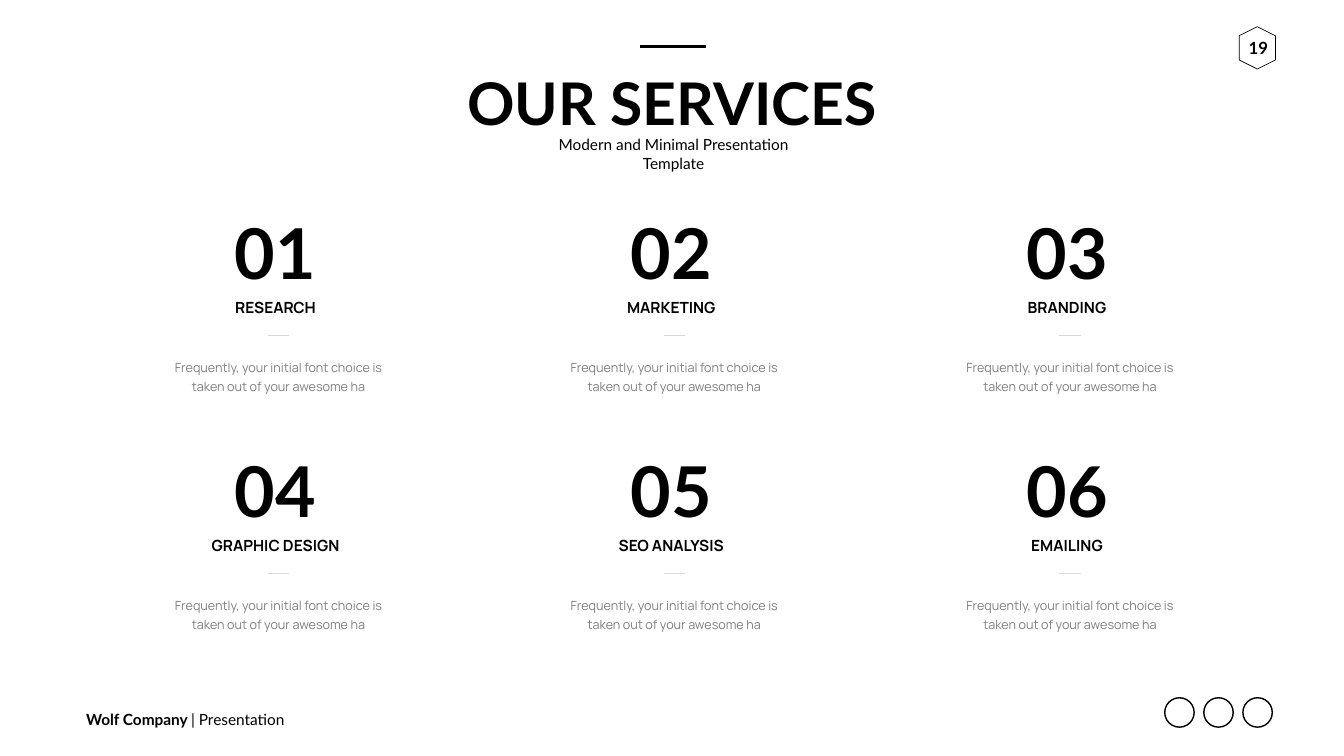
from pptx import Presentation
from pptx.dml.color import RGBColor as RGB
from pptx.enum.shapes import MSO_CONNECTOR as CONN, MSO_SHAPE as SHAPE
from pptx.enum.text import MSO_ANCHOR as ANCHOR, MSO_AUTO_SIZE as FIT, PP_ALIGN as ALIGN
from pptx.oxml.ns import qn
from pptx.util import Pt
from lxml import etree

COLORS = {"ink": "000000", "muted": "7F7F7F", "rule": "D9D9D9"}
HEADING, BODY = "Lato", "Manrope"
SERVICES = ["RESEARCH", "MARKETING", "BRANDING",
            "GRAPHIC DESIGN", "SEO ANALYSIS", "EMAILING"]
DESCRIPTION = "Frequently, your initial font choice is taken out of your awesome ha"
COLUMNS = 3
FIRST_CENTER, COLUMN_STEP = 397.8, 565.2
FIRST_TOP, ROW_STEP = 295.2, 340.5


class ServicesSlide:
    def __init__(self, prs):
        self.s = prs.slides.add_slide(prs.slide_layouts[6])

    def text(self, x, y, w, h, runs, size, font=HEADING, color="ink", align=ALIGN.CENTER,
             anchor=ANCHOR.TOP, wrap=False, inset=(7.2, 3.6), spacing=None):
        """Add one paragraph; runs is a list of (text, bold) pairs."""
        tf = self.s.shapes.add_textbox(Pt(x), Pt(y), Pt(w), Pt(h)).text_frame
        tf.word_wrap = wrap
        tf.auto_size = FIT.SHAPE_TO_FIT_TEXT
        tf.vertical_anchor = anchor
        tf.margin_left = tf.margin_right = Pt(inset[0])
        tf.margin_top = tf.margin_bottom = Pt(inset[1])
        p = tf.paragraphs[0]
        p.alignment = align
        if spacing:
            p.line_spacing = Pt(spacing)
        for content, bold in runs:
            r = p.add_run()
            r.text = content
            r.font.size, r.font.name, r.font.bold = Pt(size), font, bold
            r.font.color.rgb = RGB.from_string(COLORS[color])

    def rule(self, center, y, length, width, color):
        """Add a horizontal line centred on a given x."""
        left, right = center - length / 2, center + length / 2
        sp = self.s.shapes.add_connector(CONN.STRAIGHT, Pt(left), Pt(y), Pt(right), Pt(y))
        sp.line.color.rgb = RGB.from_string(COLORS[color])
        sp.line.width = Pt(width)
        etree.SubElement(sp._element.spPr, qn("a:effectLst"))

    def outline(self, kind, x, y, w, h, width, rotation=0):
        sp = self.s.shapes.add_shape(kind, Pt(x), Pt(y), Pt(w), Pt(h))
        sp.shadow.inherit = False
        sp.rotation = rotation
        sp.fill.background()
        sp.line.color.rgb = RGB.from_string(COLORS["ink"])
        sp.line.width = Pt(width)

    def service(self, number, name, center, top):
        title_center = center - 4.3
        self.text(title_center - 66, top, 132, 128, [(f"{number:02}", True)], 100)
        self.text(title_center - 102, top + 126.9, 204, 34.5, [(name, True)], 22, BODY,
                  spacing=26.8)
        self.rule(center, top + 183, 30.2, 0.5, "rule")
        self.text(center - 181, top + 204.5, 362, 72, [(DESCRIPTION, False)], 18, BODY,
                  "muted", wrap=True, inset=(17.3, 8.6), spacing=27.4)


def main():
    prs = Presentation()
    prs.slide_width, prs.slide_height = Pt(1919.5), Pt(1080)
    slide = ServicesSlide(prs)

    slide.text(115.9, 1010.2, 300, 33.8, [("Wolf Company ", True), ("| Presentation", False)],
               22, align=ALIGN.LEFT, anchor=ANCHOR.MIDDLE)
    slide.outline(SHAPE.HEXAGON, 1765.4, 42.5, 60.5, 51.8, 1, rotation=90)
    slide.text(1763, 46.8, 68.4, 43.9, [("19", True)], 24, inset=(14.4, 7.2))
    for i in range(3):
        slide.outline(SHAPE.OVAL, 1663.5 + 55.8 * i, 996.8, 42, 42, 2)

    slide.text(656.6, 92.2, 606.2, 108.7, [("OUR SERVICES", True)], 84)
    slide.text(747.4, 203, 429.1, 33.8, [("Modern and Minimal Presentation Template", False)],
               22, anchor=ANCHOR.MIDDLE, wrap=True)
    slide.rule(961.2, 66.2, 93.6, 4.5, "ink")

    for i, name in enumerate(SERVICES):
        row, column = divmod(i, COLUMNS)
        slide.service(i + 1, name, FIRST_CENTER + COLUMN_STEP * column,
                      FIRST_TOP + ROW_STEP * row)

    prs.save("out.pptx")


if __name__ == "__main__":
    main()
